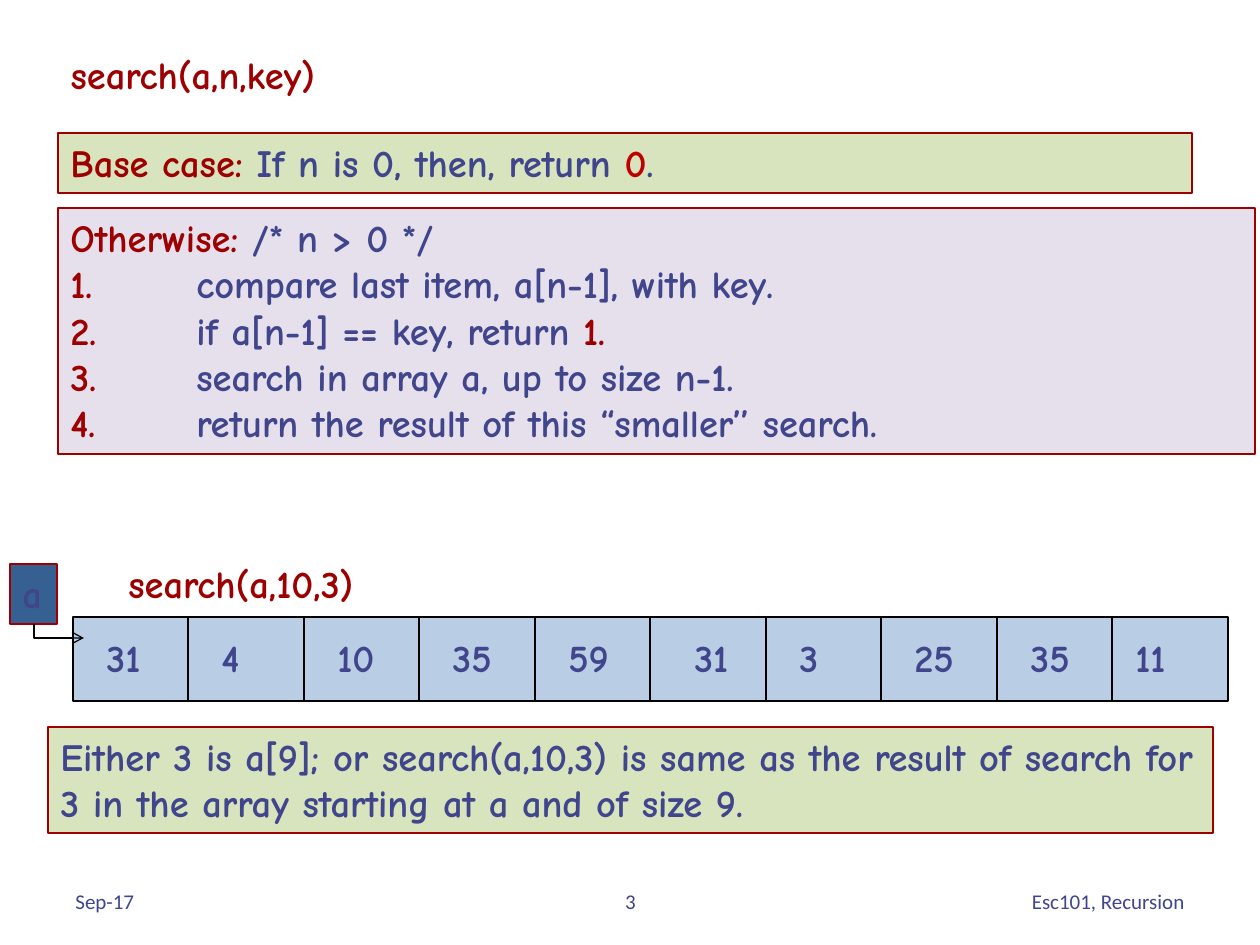
from lxml import etree
from pptx import Presentation
from pptx.dml.color import RGBColor
from pptx.enum.shapes import MSO_CONNECTOR, MSO_SHAPE
from pptx.enum.text import MSO_ANCHOR, MSO_AUTO_SIZE, PP_ALIGN
from pptx.oxml.ns import qn
from pptx.util import Emu, Pt

RECTANGLE = MSO_SHAPE.RECTANGLE
ELBOW = MSO_CONNECTOR.ELBOW
TOP, MIDDLE = MSO_ANCHOR.TOP, MSO_ANCHOR.MIDDLE
LEFT, CENTER, RIGHT = PP_ALIGN.LEFT, PP_ALIGN.CENTER, PP_ALIGN.RIGHT
GROW, FIXED = MSO_AUTO_SIZE.SHAPE_TO_FIT_TEXT, MSO_AUTO_SIZE.NONE

EMU_PER_PX = 914400 / 126
RED, BRIGHT_RED, INDIGO, BLACK = "9D0000", "C00000", "40458C", "000000"
GREEN, LILAC, PALE_BLUE, DARK_BLUE = "D7E4BD", "E6E0EC", "B9CDE5", "376092"


def px(length):
    return Emu(round(length * EMU_PER_PX))


def rgb(color):
    return RGBColor.from_string(color)


class SlideBuilder:
    body_font, body_size = "Comic Neue", 22
    footer_font, footer_size = "Calibri", 12
    line_width = Pt(0.75)
    number_indent = px(126)

    def __init__(self, slide):
        self.slide = slide

    def fill_text(self, shape, paragraphs, wrap=True, numbered_from=None):
        frame = shape.text_frame
        frame.word_wrap = wrap
        frame.auto_size = GROW
        frame.vertical_anchor = TOP
        for index, runs in enumerate(paragraphs):
            paragraph = frame.add_paragraph() if index else frame.paragraphs[0]
            paragraph.alignment = LEFT
            if numbered_from is not None and index >= numbered_from:
                self.number(paragraph)
            font = paragraph.font
            font.name, font.size, font.bold = self.body_font, Pt(self.body_size), True
            if len(runs) == 1:
                font.color.rgb = rgb(runs[0][1])
            for text, color in runs:
                run = paragraph.add_run()
                run.text = text
                if len(runs) > 1:
                    run.font.color.rgb = rgb(color)

    def number(self, paragraph):
        properties = paragraph._p.get_or_add_pPr()
        properties.set("marL", str(self.number_indent))
        properties.set("indent", str(-self.number_indent))
        color = etree.SubElement(properties, qn("a:buClr"))
        etree.SubElement(color, qn("a:srgbClr"), val=RED)
        etree.SubElement(properties, qn("a:buFont"), typeface="+mj-lt")
        etree.SubElement(properties, qn("a:buAutoNum"), type="arabicPeriod")

    def title(self, text, left, top, width, height):
        shape = self.slide.shapes.title
        shape.left, shape.top = px(left), px(top)
        shape.width, shape.height = px(width), px(height)
        self.fill_text(shape, [[(text, RED)]], wrap=False)

    def box(self, left, top, width, height, fill, line=RED):
        shape = self.slide.shapes.add_shape(
            RECTANGLE, px(left), px(top), px(width), px(height))
        shape.shadow.inherit = False
        shape.fill.solid()
        shape.fill.fore_color.rgb = rgb(fill)
        shape.line.color.rgb = rgb(line)
        shape.line.width = self.line_width
        return shape

    def label(self, text, left, top, width, height, color=INDIGO):
        shape = self.slide.shapes.add_textbox(px(left), px(top), px(width), px(height))
        self.fill_text(shape, [[(text, color)]], wrap=False)

    def footer(self, text, left, width, alignment):
        shape = self.slide.shapes.add_textbox(px(left), px(876), px(width), px(50))
        frame = shape.text_frame
        frame.word_wrap = True
        frame.auto_size = FIXED
        frame.vertical_anchor = MIDDLE
        paragraph = frame.paragraphs[0]
        paragraph.alignment = alignment
        font = paragraph.font
        font.name, font.size = self.footer_font, Pt(self.footer_size)
        font.color.rgb = rgb(INDIGO)
        paragraph.add_run().text = text

    def down_then_right_arrow(self, start_x, start_y, end_x, end_y):
        center_x, center_y = (start_x + end_x) / 2, (start_y + end_y) / 2
        half_run, half_drop = (end_x - start_x) / 2, (end_y - start_y) / 2
        connector = self.slide.shapes.add_connector(
            ELBOW,
            px(center_x + half_drop), px(center_y - half_run),
            px(center_x - half_drop), px(center_y + half_run))
        connector.line.color.rgb = rgb(BLACK)
        connector.line.width = self.line_width
        properties = connector._element.spPr
        properties.find(qn("a:xfrm")).set("rot", "16200000")
        properties.find(qn("a:prstGeom")).set("prst", "bentConnector2")
        etree.SubElement(properties.find(qn("a:ln")), qn("a:tailEnd"), type="arrow")
        etree.SubElement(properties, qn("a:effectLst"))


def main():
    presentation = Presentation()
    presentation.slide_width, presentation.slide_height = px(1260), px(945)
    slide = presentation.slides.add_slide(presentation.slide_layouts[5])
    builder = SlideBuilder(slide)

    builder.title("search(a,n,key)", 58, 45, 316, 60)

    base_case = builder.box(58, 133, 1134, 60, GREEN)
    builder.fill_text(base_case, [[
        ("Base case: ", RED), ("If n is 0, then, return ", INDIGO),
        ("0", BRIGHT_RED), (".", INDIGO)]])

    otherwise = builder.box(58, 208, 1197, 246, LILAC)
    builder.fill_text(otherwise, [
        [("Otherwise: ", RED), ("/* n > 0 */", INDIGO)],
        [("compare last item, a[n-1], with key.", INDIGO)],
        [("if a[n-1] == key, return ", INDIGO), ("1.", RED)],
        [("search in array a, up to size n-1.", INDIGO)],
        [("return the result of this “smaller’’ search.", INDIGO)],
    ], numbered_from=1)

    values = [31, 4, 10, 35, 59, 31, 3, 25, 35, 11]
    insets = {5: 32, 9: 11}
    for index, value in enumerate(values):
        left = 73 + index * 231 // 2
        builder.box(left, 617, 116, 84, PALE_BLUE, BLACK)
        width = 49 if value < 10 else 73
        builder.label(str(value), left + insets.get(index, 21), 628, width, 60)

    pointer = builder.box(10, 564, 47, 60, DARK_BLUE)
    builder.fill_text(pointer, [[("a", INDIGO)]], wrap=False)
    builder.down_then_right_arrow(34, 624, 84, 638)
    builder.label("search(a,10,3)", 116, 554, 304, 60, RED)

    conclusion = builder.box(48, 727, 1165, 106, GREEN)
    builder.fill_text(conclusion, [[(
        "Either 3 is a[9]; or search(a,10,3) is same as the result of search "
        "for 3 in the array starting at a and of size 9.", INDIGO)]])

    builder.footer("Sep-17", 63, 294, LEFT)
    builder.footer("3", 431, 399, CENTER)
    builder.footer("Esc101, Recursion", 903, 294, RIGHT)

    presentation.save("out.pptx")


if __name__ == "__main__":
    main()
